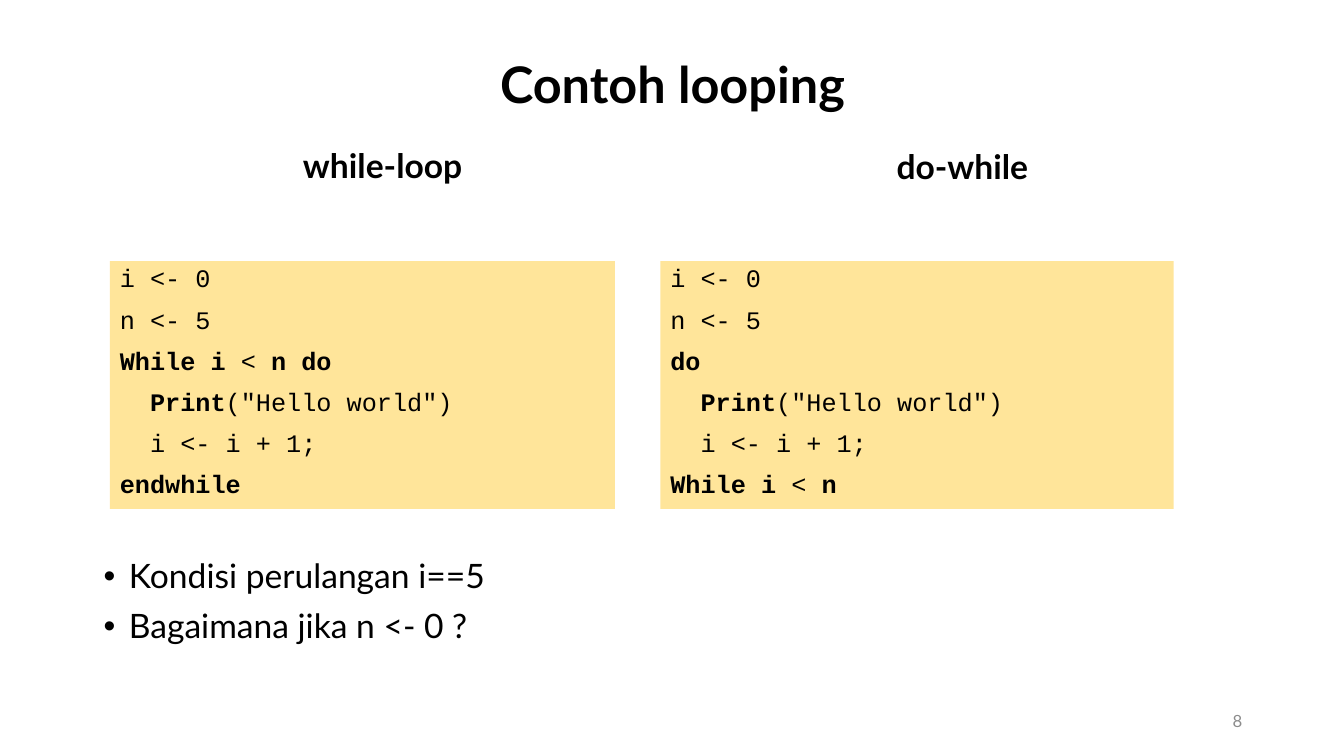
from dataclasses import dataclass

from lxml import etree
from pptx import Presentation
from pptx.dml.color import RGBColor
from pptx.enum import shapes, text
from pptx.oxml import ns
from pptx.util import Inches, Pt

COLORS = {"ink": "000000", "number": "8C8C8C", "code": "FFE59A"}
LEFT, CENTER, RIGHT = text.PP_ALIGN.LEFT, text.PP_ALIGN.CENTER, text.PP_ALIGN.RIGHT
TOP, MIDDLE = text.MSO_ANCHOR.TOP, text.MSO_ANCHOR.MIDDLE
BOLD_MARK = "*"  # text between two marks is bold


@dataclass(frozen=True)
class Style:
    size: int
    font: str = "Lato"
    color: str = "ink"
    align: text.PP_ALIGN = LEFT
    anchor: text.MSO_ANCHOR = TOP
    spacing: float = 0.9
    bullet: bool = False


@dataclass(frozen=True)
class Block:
    left: float
    top: float
    width: float
    height: float
    lines: tuple[str, ...]
    style: Style
    fill: str | None = None


TITLE = Style(36, align=CENTER, anchor=MIDDLE)
HEADING = Style(24, align=CENTER)
CODE = Style(18, font="Courier New")
QUESTION = Style(24, bullet=True)
NUMBER = Style(12, color="number", align=RIGHT, anchor=MIDDLE, spacing=1.0)

# Code shared by both loops
SETUP = ("i <- 0", "n <- 5")
BODY = ('  *Print*("Hello world")', "  i <- i + 1;")
WHILE_LOOP = (*SETUP, "*While i* < *n do*", *BODY, "*endwhile*")
DO_WHILE = (*SETUP, "*do*", *BODY, "*While i* < *n*")

BLOCKS = (
    Block(0.92, 0.4, 11.5, 0.92, ("*Contoh looping*",), TITLE),
    Block(9.42, 6.95, 3, 0.4, ("8",), NUMBER),
    Block(0.92, 1.43, 5.75, 0.57, ("*while-loop*",), HEADING),
    Block(6.67, 1.44, 5.75, 0.57, ("*do-while*",), HEADING),
    Block(0.93, 5.5, 11.51, 1.6,
          ("Kondisi perulangan i==5", "Bagaimana jika n <- 0 ?"), QUESTION),
    Block(1.09, 2.59, 5.01, 2.46, WHILE_LOOP, CODE, "code"),
    Block(6.55, 2.59, 5.09, 2.46, DO_WHILE, CODE, "code"),
)


def add_bullet(paragraph) -> None:
    properties = paragraph._p.get_or_add_pPr()
    indent = Inches(0.25)
    properties.set("marL", str(indent))
    properties.set("indent", str(-indent))
    font = etree.SubElement(properties, ns.qn("a:buFont"))
    font.set("typeface", "Arial")
    etree.SubElement(properties, ns.qn("a:buChar")).set("char", "•")


def write_line(paragraph, line: str, style: Style, first: bool) -> None:
    if style.bullet:
        add_bullet(paragraph)
    layout = {
        "alignment": style.align,
        "line_spacing": style.spacing,
        "space_before": Pt(0 if first else 10),
    }
    for name, value in layout.items():
        setattr(paragraph, name, value)
    for index, words in enumerate(line.split(BOLD_MARK)):
        if not words:
            continue
        run = paragraph.add_run()
        run.text = words
        look = {"name": style.font, "size": Pt(style.size), "bold": index % 2 == 1}
        for name, value in look.items():
            setattr(run.font, name, value)
        run.font.color.rgb = RGBColor.from_string(COLORS[style.color])


def draw_block(slide, block: Block) -> None:
    place = [Inches(n) for n in (block.left, block.top, block.width, block.height)]
    if block.fill:
        box = slide.shapes.add_shape(shapes.MSO_SHAPE.RECTANGLE, *place)
        box.shadow.inherit = False
        box.fill.solid()
        box.fill.fore_color.rgb = RGBColor.from_string(COLORS[block.fill])
        box.line.fill.background()
    else:
        box = slide.shapes.add_textbox(*place)
    frame = box.text_frame
    frame.word_wrap = True
    frame.vertical_anchor = block.style.anchor
    for index, line in enumerate(block.lines):
        paragraph = frame.add_paragraph() if index else frame.paragraphs[0]
        write_line(paragraph, line, block.style, first=index == 0)


def main() -> None:
    deck = Presentation()
    deck.slide_width, deck.slide_height = Inches(13.33), Inches(7.5)
    slide = deck.slides.add_slide(deck.slide_layouts[6])
    for block in BLOCKS:
        draw_block(slide, block)
    deck.save("out.pptx")


if __name__ == "__main__":
    main()
